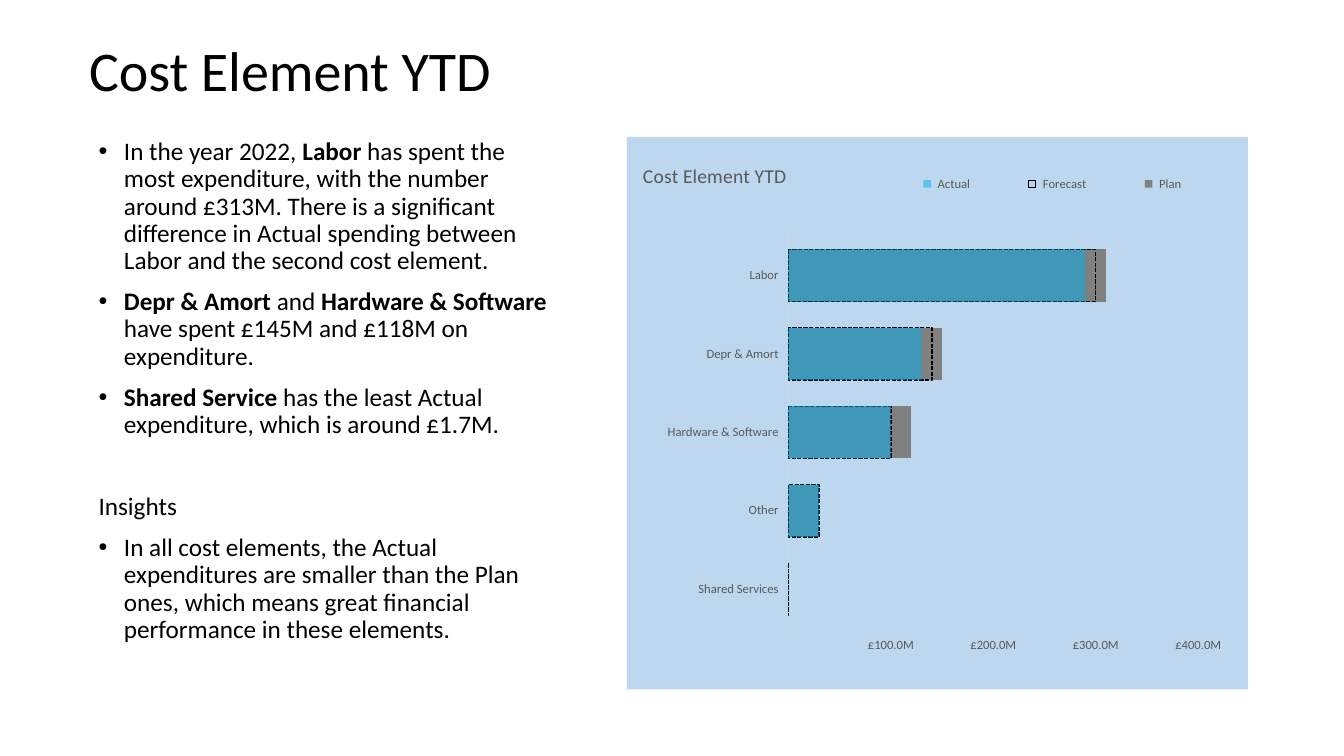
from lxml.etree import SubElement, fromstring
from pptx import Presentation
from pptx.chart.data import CategoryChartData
from pptx.dml.color import RGBColor
from pptx.enum.chart import XL_CHART_TYPE, XL_LEGEND_POSITION, XL_TICK_LABEL_POSITION, XL_TICK_MARK
from pptx.enum.dml import MSO_LINE
from pptx.enum.text import MSO_ANCHOR, MSO_AUTO_SIZE, PP_ALIGN
from pptx.oxml.ns import nsdecls, qn
from pptx.util import Cm, Pt

BLACK = RGBColor(0x00, 0x00, 0x00)
SLATE = RGBColor(0x59, 0x59, 0x59)
PALE = RGBColor(0xD9, 0xD9, 0xD9)
GRAY = RGBColor(0x80, 0x80, 0x80)
BLUE = RGBColor(0x00, 0xB0, 0xF0)
SKY = RGBColor(0xBD, 0xD7, 0xEE)
FONT = "Calibri"
MONEY = '"£"0.0,,"M";\\("£"0.0,,"M"\\);'
COSTS = ["Labor", "Depr & Amort", "Hardware & Software", "Other", "Shared Services"]
SPEND = {
    " Plan": [310, 150, 120, 30, 0],
    " Forecast": [300, 140, 100, 30, 0],
    " Actual": [290, 130, 100, 30, 0],
}
POINTS = [
    [("In the year 2022, ", False), ("Labor", True),
     (" has spent the most expenditure, with the number around £313M. There is a "
      "significant difference in Actual spending between Labor and the second cost "
      "element.", False)],
    [("Depr & Amort ", True), ("and ", False), ("Hardware & Software ", True),
     ("have spent £145M and £118M on expenditure.", False)],
    [("Shared Service ", True),
     ("has the least Actual expenditure, which is around £1.7M.", False)],
]
ADVICE = [("In all cost elements, the Actual expenditures are smaller than the Plan ones, "
           "which means great financial performance in these elements.", False)]


def style(font, size, color):
    """Set the face, size and colour of a font."""
    font.name, font.size = FONT, Pt(size)
    font.color.rgb = color


def place(shape, left, top, width, height):
    """Move and size a shape, in centimetres."""
    shape.left, shape.top = Cm(left), Cm(top)
    shape.width, shape.height = Cm(width), Cm(height)


def write(para, runs, size):
    """Fill a paragraph with (text, bold) runs."""
    para.line_spacing = 0.9
    para.alignment = PP_ALIGN.LEFT
    for text, bold in runs:
        run = para.add_run()
        run.text = text
        style(run.font, size, BLACK)
        run.font.bold = bold


def add_point(frame, runs, before=10, bullet=True):
    """Add a body paragraph, with or without a bullet."""
    first = frame.paragraphs[0]
    para = frame.add_paragraph() if first.runs else first
    write(para, runs, 18)
    para.space_before = Pt(before)
    props = para._p.get_or_add_pPr()
    indent = Cm(0.64) if bullet else 0
    props.set("marL", str(indent))
    props.set("indent", str(-indent))
    if bullet:
        SubElement(props, qn("a:buFont"), typeface="Arial")
        SubElement(props, qn("a:buChar"), char="•")
    else:
        SubElement(props, qn("a:buNone"))


def set_layout(parent, index, inner=False, **sizes):
    """Give a chart part a manual layout in fractions of the chart."""
    for old in parent.findall(qn("c:layout")):
        parent.remove(old)
    layout = fromstring(f"<c:layout {nsdecls('c')}><c:manualLayout/></c:layout>")
    if inner:
        SubElement(layout[0], qn("c:layoutTarget"), val="inner")
    for key in ("x", "y"):
        SubElement(layout[0], qn(f"c:{key}Mode"), val="edge")
    for key, size in sizes.items():
        SubElement(layout[0], qn(f"c:{key}"), val=str(size))
    parent.insert(index, layout)


def paint(chart):
    """Colour the three series and the chart area."""
    plan, cast, real = chart.plots[0].series
    for bar, color in ((plan, GRAY), (real, BLUE)):
        bar.format.fill.solid()
        bar.format.fill.fore_color.rgb = color
    tint = real._element.find(".//" + qn("a:srgbClr"))
    SubElement(tint, qn("a:alpha"), val="50000")
    cast.format.fill.background()
    line = cast.format.line
    line.color.rgb, line.width = BLACK, Pt(1)
    line.dash_style = MSO_LINE.SQUARE_DOT
    area = fromstring(
        f'<c:spPr {nsdecls("c", "a")}><a:solidFill><a:srgbClr val="{SKY}"/></a:solidFill>'
        "<a:ln><a:noFill/></a:ln></c:spPr>")
    chart._chartSpace.find(qn("c:chart")).addnext(area)


def set_axes(chart):
    """Format both axes, with the costs running downwards."""
    costs, money = chart.category_axis, chart.value_axis
    for axis in (costs, money):
        style(axis.tick_labels.font, 9, SLATE)
        axis.has_major_gridlines = False
        axis.major_tick_mark = XL_TICK_MARK.OUTSIDE
    costs.reverse_order = True
    costs.format.line.color.rgb = PALE
    costs.format.line.width = Pt(0.75)
    costs.format.line.dash_style = MSO_LINE.ROUND_DOT
    money.format.line.fill.background()
    money.minimum_scale, money.maximum_scale = 0, 400e6
    money.major_unit = 100e6
    money.tick_label_position = XL_TICK_LABEL_POSITION.HIGH
    money.tick_labels.number_format = MONEY
    money.tick_labels.number_format_is_linked = False


def add_bars(slide):
    """Add the overlapping bar chart of costs."""
    data = CategoryChartData(number_format=MONEY)
    data.categories = COSTS
    for name, sums in SPEND.items():
        data.add_series(name, [num * 1000000 for num in sums])
    chart = slide.shapes.add_chart(XL_CHART_TYPE.BAR_CLUSTERED, Cm(15.8), Cm(3.45),
                                   Cm(15.65), Cm(13.92), data).chart
    style(chart.font, 10, BLACK)
    plot = chart.plots[0]
    plot.gap_width, plot.overlap, plot.vary_by_categories = 50, 100, False
    paint(chart)
    set_axes(chart)
    run = chart.chart_title.text_frame.paragraphs[0].add_run()
    run.text = "Cost Element YTD"
    style(run.font, 14, SLATE)
    run.font.bold = False
    chart.has_legend = True
    chart.legend.position = XL_LEGEND_POSITION.TOP
    chart.legend.include_in_layout = False
    style(chart.legend.font, 9, SLATE)
    set_layout(chart.chart_title._element, 1, x=0.02, y=0.04)
    set_layout(chart.legend._element, 1, x=0.39, y=0.06, w=0.59, h=0.05)
    area = chart._chartSpace.find(".//" + qn("c:plotArea"))
    set_layout(area, 0, inner=True, x=0.26, y=0.18, w=0.66, h=0.71)


def main():
    """Build the cost slide and save it."""
    deck = Presentation()
    deck.slide_width, deck.slide_height = Cm(33.87), Cm(19.05)
    slide = deck.slides.add_slide(deck.slide_layouts[1])
    title, body = slide.placeholders
    place(title, 1.99, 0, 29.21, 3.68)
    place(body, 2.23, 3.37, 11.86, 14.78)
    for shape, anchor in ((title, MSO_ANCHOR.MIDDLE), (body, MSO_ANCHOR.TOP)):
        shape.text_frame.vertical_anchor = anchor
        shape.text_frame.auto_size = MSO_AUTO_SIZE.NONE
    write(title.text_frame.paragraphs[0], [("Cost Element YTD", False)], 40)
    for runs in POINTS:
        add_point(body.text_frame, runs)
    add_point(body.text_frame, [("Insights", False)], before=39, bullet=False)
    add_point(body.text_frame, ADVICE)
    add_bars(slide)
    deck.save("out.pptx")


main()
